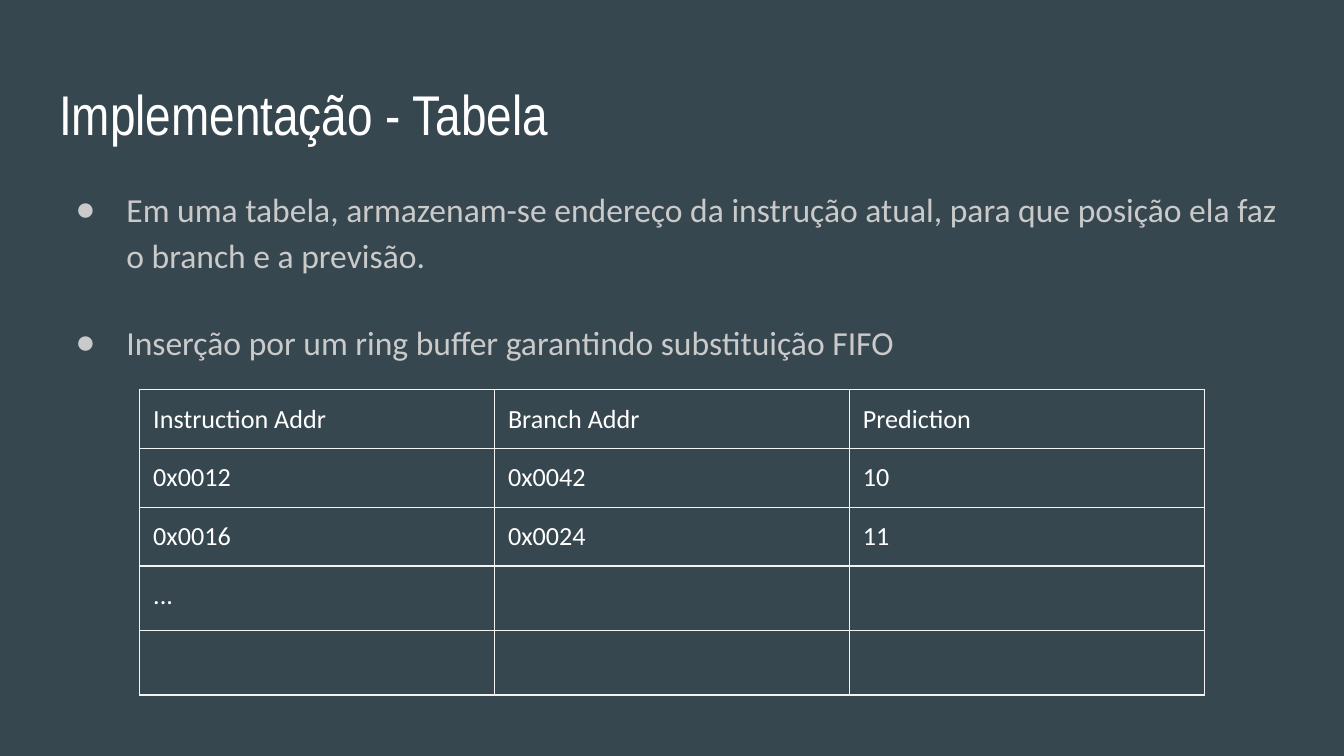
from lxml import etree
from pptx import Presentation
from pptx.dml.color import RGBColor
from pptx.enum.text import MSO_ANCHOR, MSO_AUTO_SIZE, PP_ALIGN
from pptx.oxml.ns import qn
from pptx.util import Inches, Pt

TOP = MSO_ANCHOR.TOP
FIXED = MSO_AUTO_SIZE.NONE
LEFT = PP_ALIGN.LEFT
COLORS = {"back": "37474F", "title": "FFFFFF", "body": "CACACA",
          "cell": "FFFFFF", "border": "F3F3F3"}
POINTS = [
    "Em uma tabela, armazenam-se endereço da instrução atual, "
    "para que posição ela faz o branch e a previsão.",
    "Inserção por um ring buffer garantindo substituição FIFO",
]
ROWS = [
    ["Instruction Addr", "Branch Addr", "Prediction"],
    ["0x0012", "0x0042", "10"],
    ["0x0016", "0x0024", "11"],
    ["...", "", ""],
    ["", "", ""],
]
HEIGHTS = [0.42, 0.42, 0.42, 0.48, 0.48]
WIDTH = 2.64


def rgb(name):
    return RGBColor.from_string(COLORS[name])


def add_run(para, text, font, size, color):
    run = para.add_run()
    run.text = text
    run.font.name = font
    run.font.size = Pt(size)
    run.font.color.rgb = rgb(color)


def add_color(parent, tag, name):
    node = etree.SubElement(parent, qn(tag))
    etree.SubElement(node, qn("a:srgbClr"), val=COLORS[name])


def set_pads(item):
    item.margin_left = item.margin_right = Inches(0.1)
    item.margin_top = item.margin_bottom = Inches(0.1)


def place(shape, left, top, width, height):
    shape.left, shape.top = Inches(left), Inches(top)
    shape.width, shape.height = Inches(width), Inches(height)
    frame = shape.text_frame
    frame.word_wrap = True
    frame.auto_size = FIXED
    frame.vertical_anchor = TOP
    set_pads(frame)
    return frame


def add_title(slide):
    para = place(slide.shapes.title, 0.34, 0.49, 9.32, 0.63).paragraphs[0]
    para.alignment = LEFT
    add_run(para, "Implementação - Tabela", "Arial Narrow", 30, "title")


def set_bullet(para):
    props = para._p.get_or_add_pPr()
    props.set("marL", str(Inches(0.5)))
    props.set("indent", str(Inches(-0.38)))
    add_color(props, "a:buClr", "body")
    etree.SubElement(props, qn("a:buChar"), char="●")


def add_list(slide):
    frame = place(slide.placeholders[1], 0.34, 1.26, 9.32, 3.74)
    for i, text in enumerate(POINTS):
        para = frame.add_paragraph() if i else frame.paragraphs[0]
        para.line_spacing = 1.15
        para.space_before = Pt(21.5 if i else 0)
        para.space_after = Pt(0)
        set_bullet(para)
        add_run(para, text, "Calibri", 18, "body")


def set_border(cell):
    props = cell._tc.get_or_add_tcPr()
    for side in ("a:lnL", "a:lnR", "a:lnT", "a:lnB"):
        line = etree.SubElement(props, qn(side), w=str(Pt(0.75)))
        add_color(line, "a:solidFill", "border")


def fill_cell(cell, text):
    set_pads(cell)
    cell.vertical_anchor = TOP
    set_border(cell)
    cell.fill.background()
    para = cell.text_frame.paragraphs[0]
    if text:
        add_run(para, text, "Calibri", 14, "cell")
    else:
        etree.SubElement(para._p, qn("a:endParaRPr"), sz="1400")


def add_grid(slide):
    count = len(ROWS[0])
    frame = slide.shapes.add_table(
        len(ROWS), count, Inches(1.04), Inches(2.9),
        Inches(WIDTH * count), Inches(sum(HEIGHTS)))
    table = frame.table
    table.first_row = False
    table.horz_banding = False
    for col in table.columns:
        col.width = Inches(WIDTH)
    for i, texts in enumerate(ROWS):
        table.rows[i].height = Inches(HEIGHTS[i])
        for j, text in enumerate(texts):
            fill_cell(table.cell(i, j), text)


def main():
    deck = Presentation()
    deck.slide_width = Inches(10)
    deck.slide_height = deck.slide_width * 9 // 16
    slide = deck.slides.add_slide(deck.slide_layouts[1])
    slide.background.fill.solid()
    slide.background.fill.fore_color.rgb = rgb("back")
    add_title(slide)
    add_list(slide)
    add_grid(slide)
    deck.save("out.pptx")


if __name__ == "__main__":
    main()
